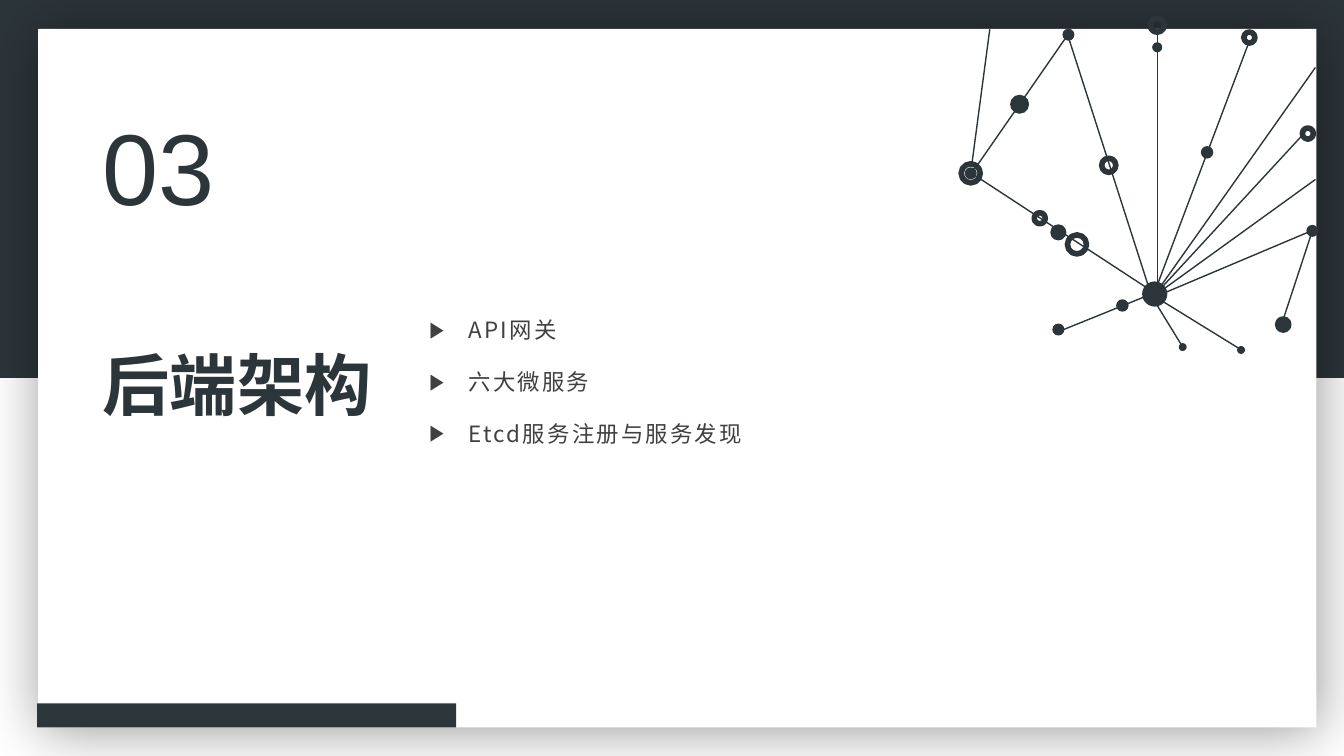
from lxml import etree
from pptx import Presentation
from pptx.dml.color import RGBColor
from pptx.enum.shapes import MSO_CONNECTOR, MSO_SHAPE
from pptx.enum.text import MSO_ANCHOR, MSO_AUTO_SIZE, PP_ALIGN
from pptx.oxml.ns import qn
from pptx.util import Pt

RECT, OVAL = MSO_SHAPE.RECTANGLE, MSO_SHAPE.OVAL
STRAIGHT = MSO_CONNECTOR.STRAIGHT
TOP, LEFT = MSO_ANCHOR.TOP, PP_ALIGN.LEFT
GROW = MSO_AUTO_SIZE.SHAPE_TO_FIT_TEXT

# Content
NUMBER = "03"
TITLE = "后端架构"
TOPICS = ["API网关", "六大微服务", "Etcd服务注册与服务发现"]

COLORS = {"dark": "2C353A", "white": "FFFFFF", "body": "404040", "shadow": "000000"}
LATIN, CJK = "Arial", "Noto Sans CJK SC"

# Network: edges as x1, y1, x2, y2
EDGES = [
    (762.5, 25.2, 694.1, 123.8), (818.6, 205.2, 694.1, 123.8),
    (940.3, 163.4, 829.4, 210.2), (892.1, 30.2, 826.6, 203.8),
    (939.6, 48.2, 823, 213.1), (931, 95.8, 827.3, 208.1),
    (939.6, 128.2, 823, 212.4), (761.8, 22.3, 821.5, 208.1),
    (756, 236.9, 827.3, 208.1), (826.6, 25.2, 826.6, 213.1),
    (937.4, 164.9, 916.6, 228.2), (707, 20.9, 694.1, 118.1),
    (826.6, 218.2, 843.8, 246.2), (829.4, 214.6, 887.8, 250.6),
]
# Solid nodes as centre x, centre y, diameter, outline width
DOTS = [
    (693.4, 123.8, 8.6, 0), (728.3, 74.5, 13.6, 0), (824.8, 210, 18, 0),
    (756, 235.4, 8.6, 0), (937.4, 164.9, 8.6, 0), (763.2, 24.8, 8.6, 0),
    (756, 166, 11.5, 0), (826.6, 33.8, 7.2, 0), (801.7, 218.2, 7.9, 1),
    (862.2, 108.8, 7.9, 1), (916.6, 231.8, 7.9, 4), (844.8, 247.9, 3.6, 2),
    (886.5, 250, 3.6, 2),
]
# Hollow nodes as centre x, centre y, diameter
RINGS = [
    (693.4, 123.8, 13.6), (934.2, 95.4, 7.9), (892.4, 26.8, 7.9),
    (742.7, 155.9, 7.9), (769.3, 174.6, 13.6), (792, 118.1, 10.1),
    (826.6, 18, 10.1),
]
RING_LINE = 4

prs = Presentation()
prs.slide_width, prs.slide_height = Pt(960), Pt(540)
s = prs.slides.add_slide(prs.slide_layouts[5])


def rgb(name):
    return RGBColor.from_string(COLORS[name])


def add_shape(kind, x, y, w, h, fill=None, line=0):
    sp = s.shapes.add_shape(kind, Pt(x), Pt(y), Pt(w), Pt(h))
    sp.shadow.inherit = False
    if fill:
        sp.fill.solid()
        sp.fill.fore_color.rgb = rgb(fill)
    else:
        sp.fill.background()
    if line:
        sp.line.color.rgb = rgb("dark")
        sp.line.width = Pt(line)
    else:
        sp.line.fill.background()
    return sp


def add_node(cx, cy, d, fill=None, line=0):
    add_shape(OVAL, cx - d / 2, cy - d / 2, d, d, fill, line)


def set_text(sp, box, lines, size, color="dark", font=LATIN, bold=False,
             spacing=0, bullet=None, indent=0, line_spacing=1.0, before=0,
             insets=(7.2, 3.6, 7.2, 3.6)):
    sp.left, sp.top, sp.width, sp.height = map(Pt, box)
    tf = sp.text_frame
    tf.word_wrap, tf.auto_size, tf.vertical_anchor = True, GROW, TOP
    tf.margin_left, tf.margin_top, tf.margin_right, tf.margin_bottom = map(Pt, insets)
    for i, line in enumerate(lines):
        p = tf.add_paragraph() if i else tf.paragraphs[0]
        p.alignment, p.line_spacing = LEFT, line_spacing
        p.space_before = Pt(before if i else 0)
        if bullet:
            pPr = p._p.get_or_add_pPr()
            pPr.set("marL", str(Pt(indent)))
            pPr.set("indent", str(-Pt(indent)))
            etree.SubElement(pPr, qn("a:buFont"), typeface=LATIN)
            etree.SubElement(pPr, qn("a:buChar"), char=bullet)
        r = p.add_run()
        r.text = line
        r.font.size, r.font.bold, r.font.name = Pt(size), bold, font
        r.font.color.rgb = rgb(color)
        rPr = r.font._element
        etree.SubElement(rPr, qn("a:ea"), typeface=CJK)
        if spacing:
            rPr.set("spc", str(round(spacing * 100)))


# Background band and card with its soft shadow
add_shape(RECT, 0, 0, 960, 270, "dark")
card = add_shape(RECT, 27.2, 20.6, 913, 499, "white")
effects = card._element.spPr.find(qn("a:effectLst"))
shadow = etree.SubElement(effects, qn("a:outerShdw"), blurRad=str(Pt(42)),
                          dist=str(Pt(3)), dir=str(45 * 60000), algn="tl",
                          rotWithShape="0")
shade = etree.SubElement(shadow, qn("a:srgbClr"), val=COLORS["shadow"])
etree.SubElement(shade, qn("a:alpha"), val="40000")

# Section number and title, raised above the card
set_text(s.shapes.add_textbox(0, 0, 0, 0), (66.2, 71.3, 102.2, 94.3), [NUMBER], 72)
title = s.shapes.title
card._element.getparent().append(title._element)
set_text(title, (66.2, 241.9, 792.7, 65.5), [TITLE], 48, bold=True)

# Network
for x1, y1, x2, y2 in EDGES:
    edge = s.shapes.add_connector(STRAIGHT, Pt(x1), Pt(y1), Pt(x2), Pt(y2))
    edge.line.color.rgb = rgb("dark")
    edge.line.width = Pt(1)
    etree.SubElement(edge._element.spPr, qn("a:effectLst"))
for cx, cy, d, line in DOTS:
    add_node(cx, cy, d, "dark", line)
for cx, cy, d in RINGS:
    add_node(cx, cy, d, line=RING_LINE)

# Bottom bar and topic list
add_shape(RECT, 26.5, 502.4, 299.4, 17.2, "dark")
set_text(s.shapes.add_textbox(0, 0, 0, 0), (298.8, 220.3, 502.6, 100.1), TOPICS, 16,
         color="body", font=CJK, spacing=1.6, bullet="▶", indent=28.1,
         line_spacing=1.3, before=12, insets=(7.9, 0, 6.5, 0))

prs.save("out.pptx")
